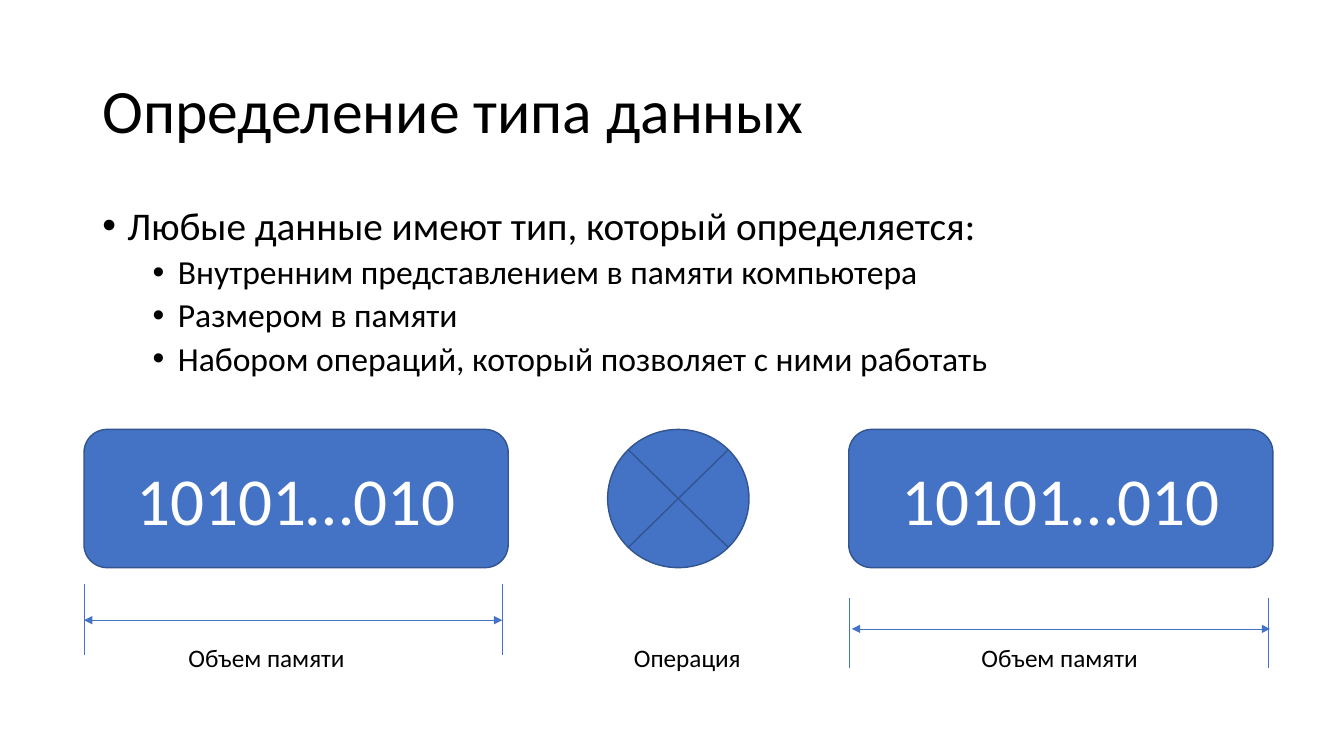
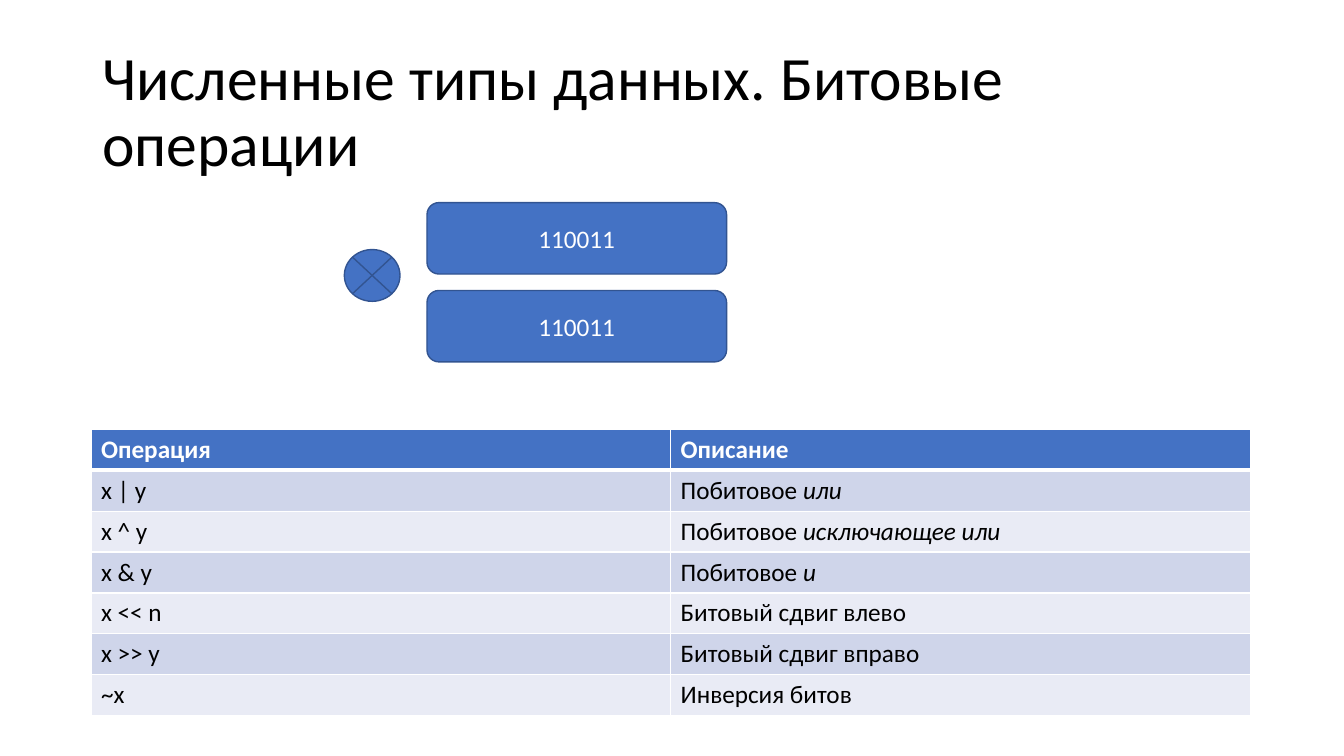
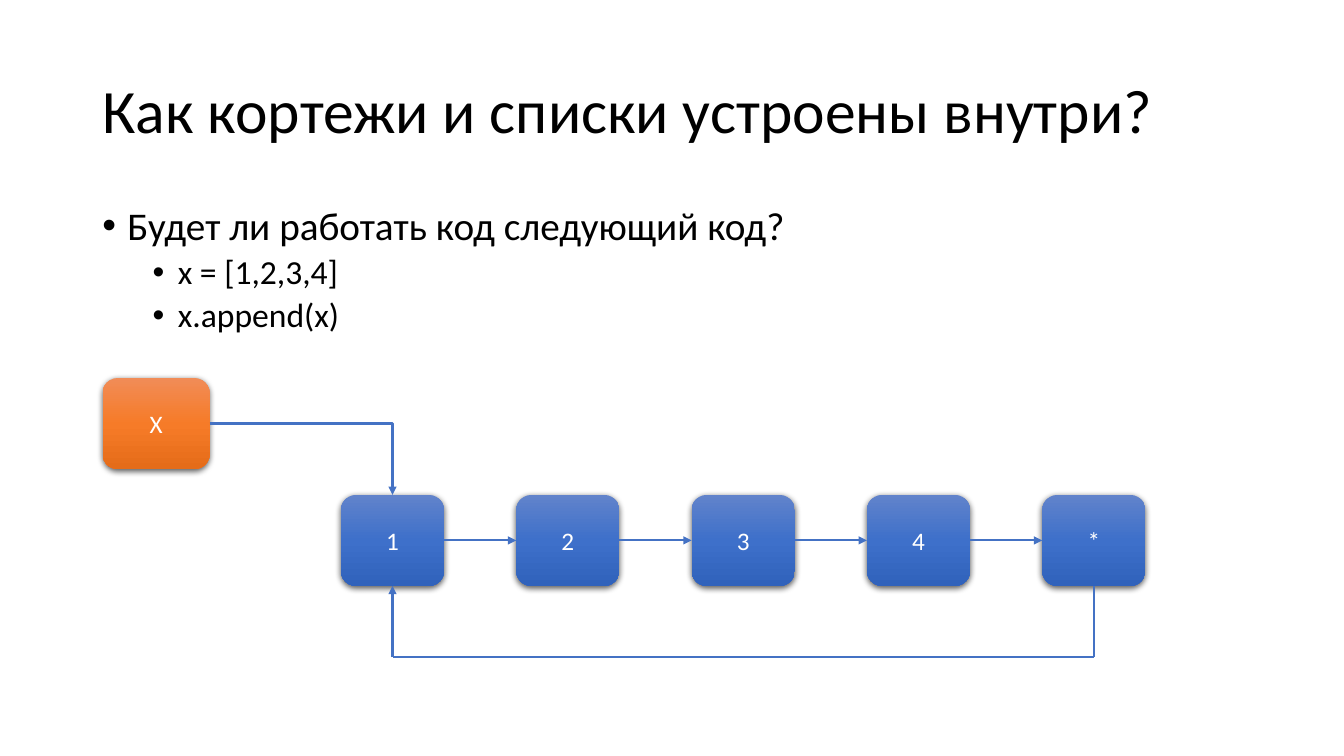
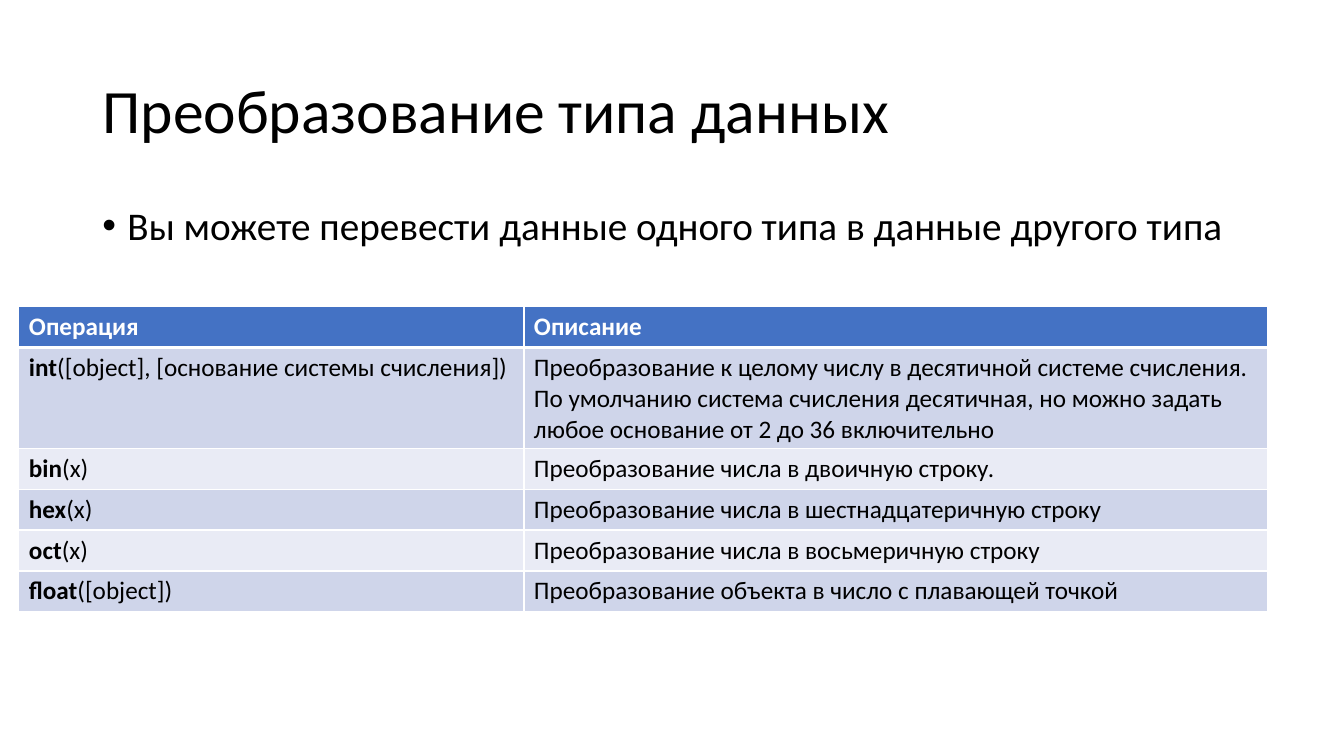
import lxml.etree
import pptx
import pptx.dml.color
import pptx.enum.shapes
import pptx.enum.text
import pptx.oxml
import pptx.oxml.ns
import pptx.util

Pt = pptx.util.Pt
RGBColor = pptx.dml.color.RGBColor
SHAPE = pptx.enum.shapes.MSO_SHAPE
CONNECTOR = pptx.enum.shapes.MSO_CONNECTOR
ANCHOR = pptx.enum.text.MSO_ANCHOR
ALIGN = pptx.enum.text.PP_ALIGN
AUTO_SIZE = pptx.enum.text.MSO_AUTO_SIZE
qn = pptx.oxml.ns.qn

BLACK = RGBColor(0x00, 0x00, 0x00)
WHITE = RGBColor(0xFF, 0xFF, 0xFF)
BLUE = RGBColor(0x44, 0x72, 0xC4)
DARK_BLUE = RGBColor(0x32, 0x54, 0x91)
BAND_DARK = RGBColor(0xCF, 0xD5, 0xEA)
BAND_LIGHT = RGBColor(0xE9, 0xEB, 0xF5)
# Gradient stops at 0, 50 and 100 %
BLUE_GRADIENT = (RGBColor(0x61, 0x83, 0xCB), RGBColor(0x3E, 0x70, 0xCA), RGBColor(0x30, 0x62, 0xBB))
ORANGE_GRADIENT = (RGBColor(0xF1, 0x8C, 0x57), RGBColor(0xF6, 0x7B, 0x28), RGBColor(0xE5, 0x6C, 0x19))

TOP, LEFT, BOTTOM, RIGHT = range(4)
ROW_HEIGHT = 29.2


class Deck:
    """Style of the presentation and the slide being filled."""

    font = "Calibri"

    def __init__(self):
        self.prs = pptx.Presentation()
        self.prs.slide_width, self.prs.slide_height = Pt(960), Pt(540)
        self.s = None

    def slide(self, title):
        self.s = self.prs.slides.add_slide(self.prs.slide_layouts[5])
        sp = self.s.shapes.title
        sp.left, sp.top, sp.width, sp.height = Pt(66), Pt(28.75), Pt(828), Pt(104.5)
        tf = sp.text_frame
        tf.text = title
        tf.word_wrap = True
        tf.auto_size = AUTO_SIZE.NONE
        tf.vertical_anchor = ANCHOR.MIDDLE
        p = tf.paragraphs[0]
        p.alignment = ALIGN.LEFT
        p.line_spacing = 0.9
        self.format(p, 44)

    def format(self, p, size, color=BLACK, bold=False):
        for r in p.runs:
            r.font.name = self.font
            r.font.size = Pt(size)
            r.font.color.rgb = color
            r.font.bold = bold

    def bullets(self, head, *items, height=342.5):
        """A first-level bullet with second-level items under it."""
        sp = self.s.shapes.add_textbox(Pt(66), Pt(143.75), Pt(828), Pt(height))
        tf = sp.text_frame
        tf.word_wrap = True
        tf.text = "\n".join((head, *items))
        for i, p in enumerate(tf.paragraphs):
            size, before, indent = (24, 5, 54) if i else (28, 10, 18)
            p.level = min(i, 1)
            p.line_spacing = 0.9
            p.space_before = Pt(before)
            self.format(p, size)
            pPr = p._p.get_or_add_pPr()
            pPr.set("marL", str(Pt(indent)))
            pPr.set("indent", str(-Pt(18)))
            lxml.etree.SubElement(pPr, qn("a:buFont")).set("typeface", "Arial")
            lxml.etree.SubElement(pPr, qn("a:buChar")).set("char", "•")

    def label(self, text, x, y, w):
        sp = self.s.shapes.add_textbox(Pt(x), Pt(y), Pt(w), Pt(29))
        tf = sp.text_frame
        tf.text = text
        tf.word_wrap = False
        tf.auto_size = AUTO_SIZE.SHAPE_TO_FIT_TEXT
        self.format(tf.paragraphs[0], 18)

    def shape(self, x, y, w, h, text="", size=18, kind=SHAPE.ROUNDED_RECTANGLE):
        sp = self.s.shapes.add_shape(kind, Pt(x), Pt(y), Pt(w), Pt(h))
        sp.shadow.inherit = False
        sp.fill.solid()
        sp.fill.fore_color.rgb = BLUE
        sp.line.color.rgb = DARK_BLUE
        sp.line.width = Pt(1)
        if text:
            tf = sp.text_frame
            tf.text = text
            tf.vertical_anchor = ANCHOR.MIDDLE
            p = tf.paragraphs[0]
            p.alignment = ALIGN.CENTER
            self.format(p, size, WHITE)
        return sp

    def junction(self, x, y, w, h):
        self.shape(x, y, w, h, kind=SHAPE.FLOWCHART_SUMMING_JUNCTION)

    def node(self, text, x, y, w, gradient):
        """A borderless box with a vertical gradient and a soft shadow."""
        sp = self.shape(x, y, w, 65, text)
        sp.line.fill.background()
        spPr = sp._element.spPr
        stops = "".join(
            f'<a:gs pos="{i * 50000}"><a:srgbClr val="{color}"/></a:gs>' for i, color in enumerate(gradient))
        ns = pptx.oxml.ns.nsdecls("a")
        spPr.replace(spPr.find(qn("a:solidFill")), pptx.oxml.parse_xml(
            f'<a:gradFill {ns} rotWithShape="1"><a:gsLst>{stops}</a:gsLst>'
            '<a:lin ang="5400000" scaled="0"/></a:gradFill>'))
        spPr.find(qn("a:effectLst")).append(pptx.oxml.parse_xml(
            f'<a:outerShdw {ns} blurRad="{Pt(4.5)}" dist="{Pt(1.5)}" dir="5400000" algn="ctr" rotWithShape="0">'
            '<a:srgbClr val="000000"><a:alpha val="63000"/></a:srgbClr></a:outerShdw>'))
        return sp

    def line(self, start, end, width=1.5, arrows=(), bent=False):
        """Each end is a point (x, y) or a pair (shape, side)."""
        joined = [not isinstance(e[0], (int, float)) for e in (start, end)]
        x1, y1 = (0, 0) if joined[0] else start
        x2, y2 = (0, 0) if joined[1] else end
        kind = CONNECTOR.ELBOW if bent else CONNECTOR.STRAIGHT
        c = self.s.shapes.add_connector(kind, Pt(x1), Pt(y1), Pt(x2), Pt(y2))
        if joined[0]:
            c.begin_connect(*start)
        if joined[1]:
            c.end_connect(*end)
        c.line.color.rgb = BLUE
        c.line.width = Pt(width)
        spPr = c._element.spPr
        if bent:
            spPr.find(qn("a:prstGeom")).set("prst", "bentConnector2")
        for arrow in arrows:
            lxml.etree.SubElement(c.get_or_add_ln(), qn(f"a:{arrow}")).set("type", "triangle")
        lxml.etree.SubElement(spPr, qn("a:effectLst"))

    def dimension(self, x, y, arrow_x, arrow_y):
        """Two extension lines with a double arrow between them."""
        w = 298.75
        for edge in (x, x + w):
            self.line((edge, y), (edge, y + 50.5), 0.5)
        self.line((arrow_x, arrow_y), (arrow_x + w, arrow_y), 0.5, ("headEnd", "tailEnd"))

    def table(self, x, y, widths, rows, emphasis, heights=None):
        """Text between asterisks gets the emphasis, 'bold' or 'italic'."""
        heights = heights or [ROW_HEIGHT] * len(rows)
        t = self.s.shapes.add_table(
            len(rows), len(widths), Pt(x), Pt(y), Pt(sum(widths)), Pt(sum(heights))).table
        t.horz_banding = False
        for column, w in zip(t.columns, widths):
            column.width = Pt(w)
        for i, (row, h) in enumerate(zip(rows, heights)):
            t.rows[i].height = Pt(h)
            for j, text in enumerate(row):
                cell = t.cell(i, j)
                self.borders(cell, top=3 if i == 1 else 1, bottom=1 if i else 3)
                cell.fill.solid()
                cell.fill.fore_color.rgb = (BAND_DARK if i % 2 else BAND_LIGHT) if i else BLUE
                p = cell.text_frame.paragraphs[0]
                for k, part in enumerate(text.split("*")):
                    if part:
                        p.add_run().text = part
                        self.format(p, 18, BLACK if i else WHITE, bold=not i)
                for k, r in enumerate(p.runs):
                    if "*" + r.text + "*" in text:
                        setattr(r.font, emphasis, True)

    def borders(self, cell, top, bottom):
        tcPr = cell._tc.get_or_add_tcPr()
        for side, width in (("L", 1), ("R", 1), ("T", top), ("B", bottom)):
            ln = lxml.etree.SubElement(tcPr, qn(f"a:ln{side}"), w=str(Pt(width)))
            fill = lxml.etree.SubElement(ln, qn("a:solidFill"))
            lxml.etree.SubElement(fill, qn("a:srgbClr"), val=str(WHITE))


def data_type(d):
    d.slide("Определение типа данных")
    d.bullets("Любые данные имеют тип, который определяется:",
              "Внутренним представлением в памяти компьютера",
              "Размером в памяти",
              "Набором операций, который позволяет с ними работать")
    # Operands and operation
    for x in (60, 606.25):
        d.shape(x, 306.75, 303, 98.75, "10101…010", 48)
    d.junction(434, 306.75, 101, 98.75)
    # Memory sizes
    d.dimension(60, 417.5, 60, 443)
    d.dimension(607, 427, 608.5, 449.25)
    for text, x, w in (("Объем памяти", 127.5, 127.5), ("Объем памяти", 694, 127.5),
                       ("Операция", 445.75, 91.5)):
        d.label(text, x, 455, w)


def bit_operations(d):
    d.slide("Численные типы данных. Битовые операции")
    d.table(65, 306.75, (414, 414), (
        ("Операция", "Описание"),
        ("x | y", "Побитовое *или*"),
        ("x ^ y", "Побитовое *исключающее или*"),
        ("x & y", "Побитовое *и*"),
        ("x << n", "Битовый сдвиг влево"),
        ("x >> y", "Битовый сдвиг вправо"),
        ("~x", "Инверсия битов"),
    ), "italic")
    for y in (144.75, 207.5):
        d.shape(305, y, 214, 51, "110011")
    d.junction(246, 178.25, 39.75, 37)


def list_inside(d):
    d.slide("Как кортежи и списки устроены внутри?")
    d.bullets("Будет ли работать код следующий код?", "x = [1,2,3,4]", "x.append(x)")
    # Variable and list items
    name = d.node("X", 73.25, 270, 76.5, ORANGE_GRADIENT)
    left, step, w = 243.5, 125.25, 73.75
    nodes = [d.node(text, left + i * step, 353.5, w, BLUE_GRADIENT) for i, text in enumerate("1234*")]
    # Links
    first, last = nodes[0], nodes[-1]
    arrow = ("tailEnd",)
    d.line((name, RIGHT), (first, TOP), arrows=arrow, bent=True)
    for a, b in zip(nodes, nodes[1:]):
        d.line((a, RIGHT), (b, LEFT), arrows=arrow)
    # Way back from the last item to the first
    x1 = left + w / 2
    x2 = x1 + step * (len(nodes) - 1)
    y = 469.5
    d.line((last, BOTTOM), (x2, y))
    d.line((x2, y), (x1, y))
    d.line((x1, y), (first, BOTTOM), arrows=arrow)


def type_conversion(d):
    d.slide("Преобразование типа данных")
    d.bullets("Вы можете перевести данные одного типа в данные другого типа", height=54)
    d.table(13.5, 219, (360.75, 531.25), (
        ("Операция", "Описание"),
        ("*int*([object], [основание системы счисления])",
         "Преобразование к целому числу в десятичной системе счисления. По умолчанию система "
         "счисления десятичная, но можно задать любое основание от 2 до 36 включительно"),
        ("*bin*(x)", "Преобразование числа в двоичную строку."),
        ("*hex*(х)", "Преобразование числа в шестнадцатеричную строку"),
        ("*oct*(х)", "Преобразование числа в восьмеричную строку"),
        ("*float*([object])", "Преобразование объекта в число с плавающей точкой"),
    ), "bold", [ROW_HEIGHT, 72] + [ROW_HEIGHT] * 4)


def main():
    d = Deck()
    for build in (data_type, bit_operations, list_inside, type_conversion):
        build(d)
    d.prs.save("out.pptx")


if __name__ == "__main__":
    main()
